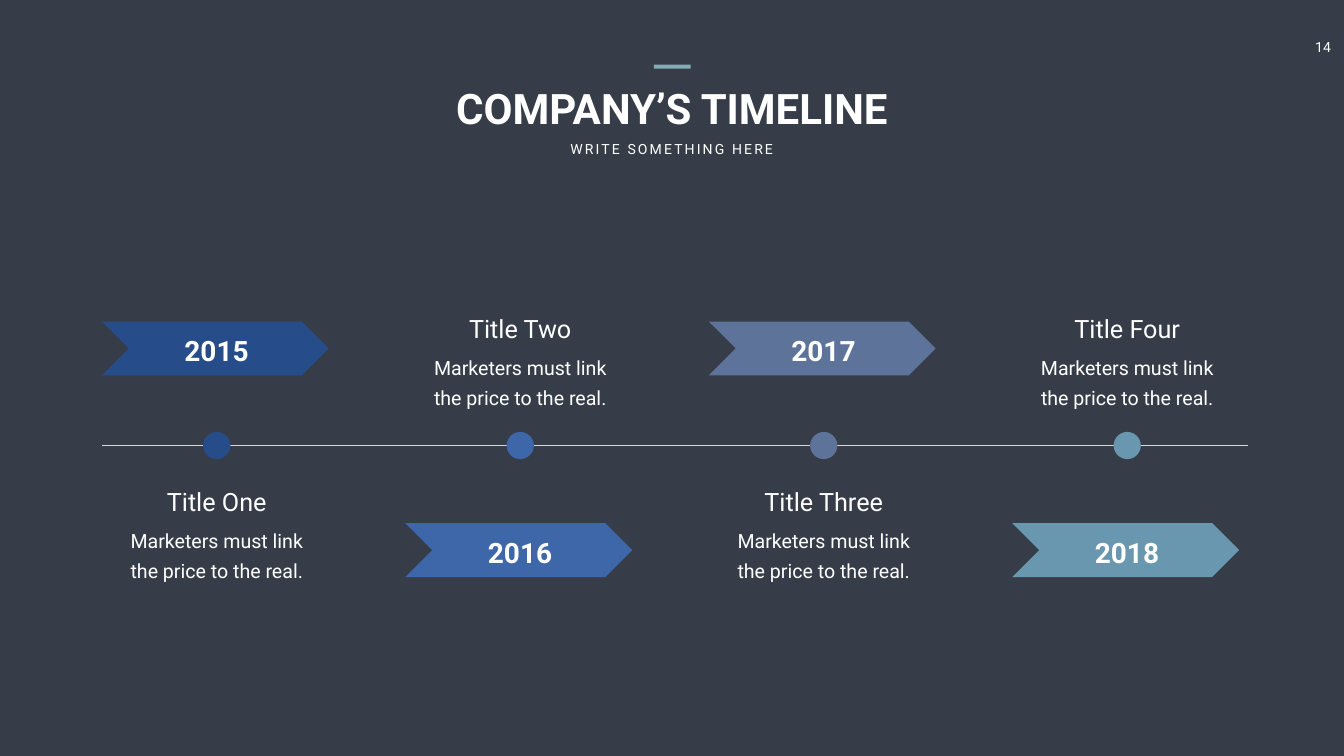
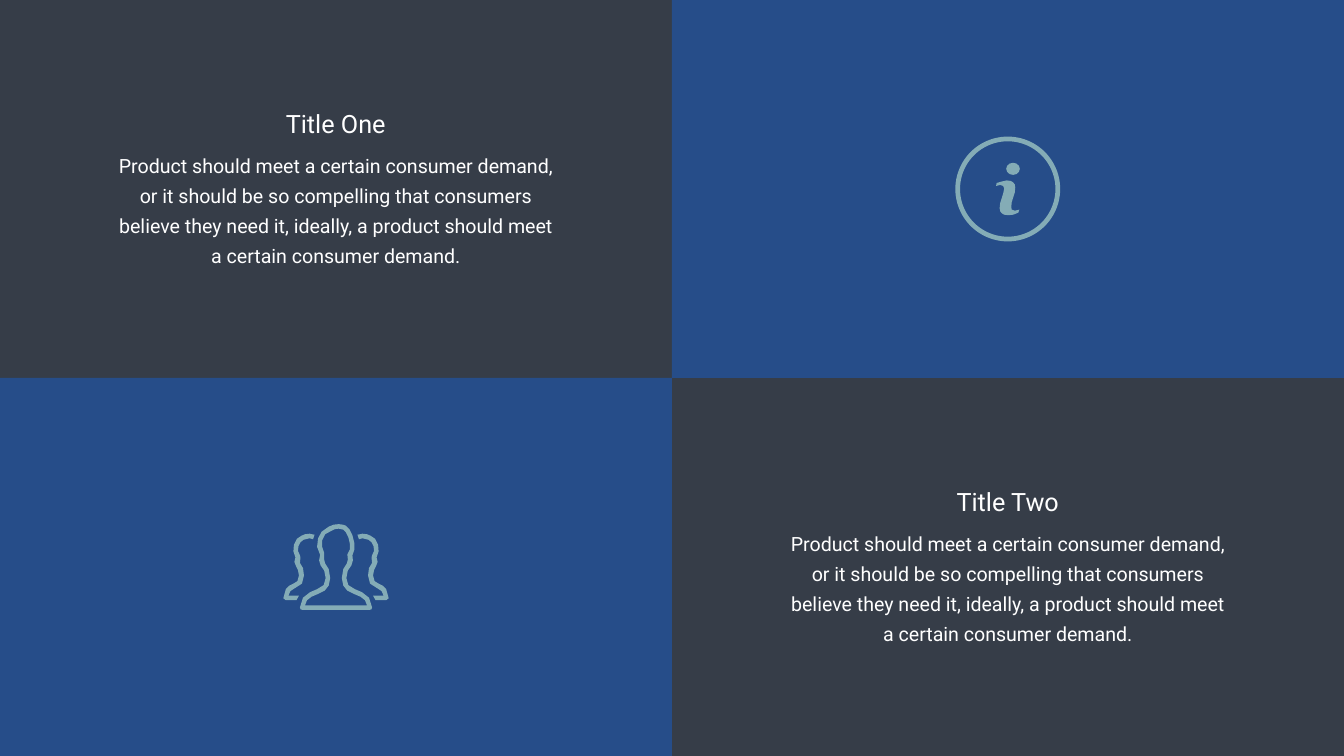
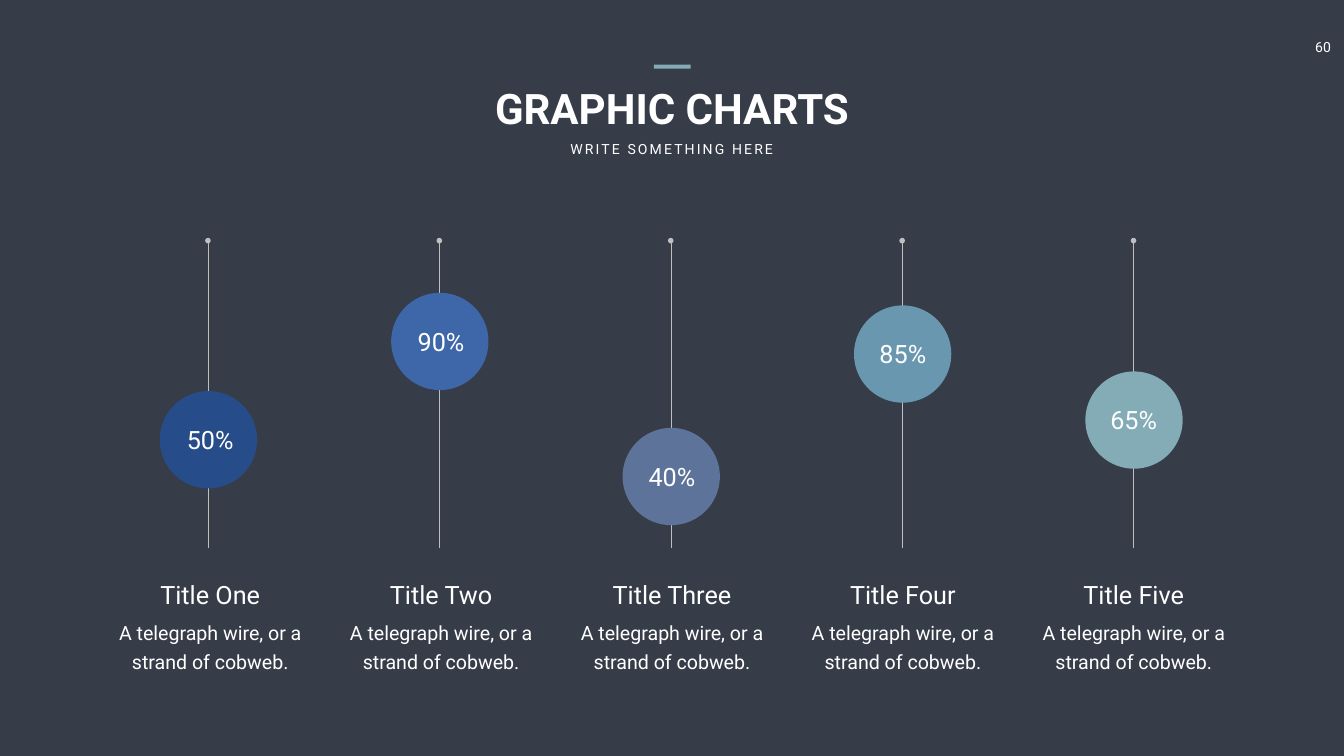
from dataclasses import dataclass

from lxml import etree
from pptx import Presentation
from pptx.dml.color import RGBColor
from pptx.enum.shapes import MSO_CONNECTOR, MSO_SHAPE
from pptx.enum.text import MSO_ANCHOR, MSO_AUTO_SIZE, PP_ALIGN
from pptx.oxml.ns import qn
from pptx.util import Inches, Pt


@dataclass(frozen=True)
class Theme:
    font: str = "Roboto"
    background: str = "363D48"
    text: str = "FFFFFF"
    navy: str = "264D89"
    blue: str = "3E67AA"
    slate: str = "5D739A"
    steel: str = "6997AF"
    teal: str = "84ACB6"
    axis: str = "D9D9D9"
    stem: str = "BFBFBF"
    title: int = 60
    year: int = 40
    heading: int = 36
    body: int = 28
    small: int = 20


theme = Theme()
series_colors = [theme.navy, theme.blue, theme.slate, theme.steel, theme.teal]


def add_text(slide, text, box, size, bold=False, spacing=None, wrap=True, placeholder=None):
    left, top, width, height = map(Inches, box)
    shape = placeholder or slide.shapes.add_textbox(left, top, width, height)
    shape.left, shape.top, shape.width, shape.height = left, top, width, height
    frame = shape.text_frame
    frame.word_wrap = wrap
    frame.auto_size = MSO_AUTO_SIZE.NONE
    frame.vertical_anchor = MSO_ANCHOR.TOP
    paragraph = frame.paragraphs[0]
    paragraph.text = text
    paragraph.alignment = PP_ALIGN.CENTER
    if spacing:
        paragraph.line_spacing = Pt(spacing)
    paragraph.font.name = theme.font
    paragraph.font.size = Pt(size)
    paragraph.font.bold = bold
    paragraph.font.color.rgb = RGBColor.from_string(theme.text)
    return shape


def add_figure(slide, kind, color, box=None, contours=None, ends=None, weight=1):
    """Add a preset shape in a box, a freeform from contours, or a line between ends."""
    if ends:
        line = slide.shapes.add_connector(kind, *map(Inches, ends))
        line.line.color.rgb = RGBColor.from_string(color)
        line.line.width = Pt(weight)
        etree.SubElement(line._element.spPr, qn("a:effectLst"))
        return line
    if contours:
        # The builder keeps whole units only, so points are given in EMU
        outlines = [[(Inches(x), Inches(y)) for x, y in points] for points in contours]
        builder = slide.shapes.build_freeform(*outlines[0][0])
        builder.add_line_segments(outlines[0][1:], close=True)
        for start, *rest in outlines[1:]:
            builder.move_to(*start)
            builder.add_line_segments(rest, close=True)
        shape = builder.convert_to_shape()
    else:
        shape = slide.shapes.add_shape(kind, *map(Inches, box))
    shape.shadow.inherit = False
    shape.fill.solid()
    shape.fill.fore_color.rgb = RGBColor.from_string(color)
    shape.line.fill.background()
    return shape


presentation = Presentation()
presentation.slide_width, presentation.slide_height = Inches(26.66), Inches(15)
master_fill = presentation.slide_master.background.fill
master_fill.solid()
master_fill.fore_color.rgb = RGBColor.from_string(theme.background)
title_only = presentation.slide_layouts[5]
timeline, panels, charts = [presentation.slides.add_slide(title_only) for _ in range(3)]

# Shared header: page number, title, subtitle and accent bar
for slide, number, title in [
    (timeline, "14", "COMPANY’S TIMELINE"),
    (charts, "60", "GRAPHIC CHARTS"),
]:
    add_text(slide, number, (25.79, 0.72, 0.91, 0.44), theme.small, wrap=False)
    add_text(slide, title, (7.7, 1.59, 11.26, 1.11), theme.title, bold=True,
             placeholder=slide.shapes.title)
    subtitle = add_text(slide, "WRITE SOMETHING HERE", (11.15, 2.74, 4.35, 0.44),
                        theme.small, wrap=False)
    subtitle.text_frame.paragraphs[0].runs[0]._r.get_or_add_rPr().set("spc", "300")
    add_figure(slide, MSO_SHAPE.RECTANGLE, theme.teal, (12.97, 1.28, 0.73, 0.08))

# Timeline: year arrows and captions alternate above and below the axis
add_figure(timeline, MSO_CONNECTOR.STRAIGHT, theme.axis, ends=(2.03, 8.84, 24.75, 8.84), weight=2)
milestones = [
    ("2015", "Title One", 2.23),
    ("2016", "Title Two", 2.27),
    ("2017", "Title Three", 2.61),
    ("2018", "Title Four", 2.37),
]
for index, (year, heading, heading_width) in enumerate(milestones):
    center = 4.3 + 6.02 * index
    color = series_colors[index]
    arrow_top, heading_top = (6.38, 9.6) if index % 2 == 0 else (10.38, 6.17)
    add_figure(timeline, MSO_SHAPE.CHEVRON, color, (center - 2.28, arrow_top, 4.5, 1.07))
    add_figure(timeline, MSO_SHAPE.OVAL, color, (center - 0.27, 8.57, 0.54, 0.54))
    add_text(timeline, year, (center - 0.75, arrow_top + 0.19, 1.49, 0.77), theme.year,
             bold=True, wrap=False)
    add_text(timeline, heading, (center - heading_width / 2, heading_top, heading_width, 0.71),
             theme.heading, wrap=False)
    add_text(timeline, "Marketers must link the price to the real.",
             (center - 1.9, heading_top + 0.71, 3.8, 1.27), theme.body, spacing=43)

# Panels: a checkerboard of text and icon quarters
half_width, half_height = 13.33, 7.5
pitch = ("Product should meet a certain consumer demand, or it should be so compelling that "
         "consumers believe they need it, ideally, a product should meet a certain consumer demand.")
for index, (heading, placeholder) in enumerate(
    [("Title One", panels.shapes.title), ("Title Two", None)]
):
    left, top = half_width * index, half_height * index
    add_figure(panels, MSO_SHAPE.RECTANGLE, theme.navy,
               (half_width - left, top, half_width, half_height))
    add_text(panels, heading, (left + 3.61, top + 2.1, 6.1, 0.71), theme.heading,
             placeholder=placeholder)
    body = add_text(panels, pitch, (left + 2.07, top + 2.8, 9.18, 2.6), theme.body, spacing=43)
    frame = body.text_frame
    frame.margin_left = frame.margin_right = Inches(0.24)
    frame.margin_top = frame.margin_bottom = Inches(0.12)

# Information icon: ring, dot and letter stem
ring = add_figure(panels, MSO_SHAPE.DONUT, theme.teal, (18.95, 2.71, 2.08, 2.08))
ring.adjustments[0] = 0.045
add_figure(panels, MSO_SHAPE.OVAL, theme.teal, (19.96, 3.23, 0.27, 0.24))
letter_stem = [
    (20.13, 4.18), (20.07, 4.16), (20.06, 4.11), (20.07, 4.01), (20.13, 3.82), (20.14, 3.72),
    (20.13, 3.66), (20.1, 3.62), (20.05, 3.59), (19.97, 3.58), (19.88, 3.6), (19.77, 3.63),
    (19.76, 3.69), (19.84, 3.67), (19.9, 3.69), (19.92, 3.74), (19.9, 3.84), (19.84, 4.03),
    (19.83, 4.13), (19.84, 4.19), (19.87, 4.23), (19.92, 4.26), (20, 4.27), (20.1, 4.26),
    (20.2, 4.22), (20.22, 4.16),
]
add_figure(panels, None, theme.teal, contours=[letter_stem])

# People icon: heads are drawn whole, shoulders and neighbours are mirrored
head_outer = [
    (6.35, 11.01), (6.29, 10.85), (6.31, 10.68), (6.38, 10.55), (6.52, 10.45), (6.62, 10.41),
    (6.72, 10.4), (6.8, 10.41), (6.86, 10.43), (6.93, 10.5), (6.99, 10.62), (7.03, 10.78),
    (7.03, 10.9), (6.99, 11.02),
]
shoulder_outer = [
    (7, 11.12), (6.97, 11.22), (6.9, 11.32), (6.87, 11.47), (6.91, 11.61), (7.04, 11.69),
    (7.18, 11.75), (7.32, 11.86), (7.38, 12.05), (7.37, 12.09), (7.33, 12.1),
]
head_inner = [
    (6.43, 10.97), (6.39, 10.85), (6.39, 10.72), (6.45, 10.6), (6.56, 10.54), (6.64, 10.5),
    (6.72, 10.49), (6.81, 10.51), (6.86, 10.56), (6.91, 10.66), (6.94, 10.79), (6.94, 10.9),
    (6.89, 11),
]
shoulder_inner = [
    (6.9, 11.1), (6.88, 11.18), (6.81, 11.29), (6.78, 11.47), (6.81, 11.62), (6.89, 11.72),
    (7.01, 11.78), (7.15, 11.84), (7.24, 11.91), (7.28, 12.01),
]
neighbour = [
    (7.51, 11.58), (7.43, 11.53), (7.4, 11.42), (7.42, 11.31), (7.46, 11.23), (7.49, 11.15),
    (7.47, 11.06), (7.51, 10.94), (7.5, 10.81), (7.44, 10.69), (7.35, 10.63), (7.28, 10.6),
    (7.19, 10.59), (7.09, 10.61), (7.12, 10.7), (7.19, 10.68), (7.31, 10.71), (7.37, 10.76),
    (7.41, 10.84), (7.42, 10.93), (7.38, 11.02), (7.37, 11.06), (7.38, 11.17), (7.32, 11.27),
    (7.3, 11.42), (7.34, 11.58), (7.48, 11.67), (7.57, 11.73), (7.61, 11.82), (7.4, 11.82),
    (7.45, 11.91), (7.66, 11.91), (7.71, 11.87), (7.66, 11.69), (7.59, 11.62),
]
mirrored_outer, mirrored_inner, mirrored_neighbour = [
    [(half_width - x, y) for x, y in reversed(points)]
    for points in (shoulder_outer, shoulder_inner, neighbour)
]
add_figure(panels, None, theme.teal, contours=[
    head_outer + shoulder_outer + mirrored_outer,
    head_inner + shoulder_inner + mirrored_inner,
    neighbour,
    mirrored_neighbour,
])

# Graphic charts: a percentage bubble on each stem, with a caption below
bubbles = [
    ("50%", "Title One", 7.76),
    ("90%", "Title Two", 5.81),
    ("40%", "Title Three", 8.49),
    ("85%", "Title Four", 6.06),
    ("65%", "Title Five", 7.37),
]
for index, (percentage, heading, bubble_top) in enumerate(bubbles):
    stem_x = 4.13 + 4.59 * index
    column = 4.17 + 4.58 * index
    add_figure(charts, MSO_CONNECTOR.STRAIGHT, theme.stem, ends=(stem_x, 4.8, stem_x, 10.87))
    add_figure(charts, MSO_SHAPE.OVAL, theme.stem, (stem_x - 0.06, 4.72, 0.11, 0.11))
    add_figure(charts, MSO_SHAPE.OVAL, series_colors[index],
               (stem_x - 0.96, bubble_top, 1.93, 1.93))
    add_text(charts, percentage, (column - 1.18, bubble_top + 0.61, 2.36, 0.71), theme.heading)
    add_text(charts, heading, (column - 1.73, 11.44, 3.46, 0.71), theme.heading)
    add_text(charts, "A telegraph wire, or a strand of cobweb.",
             (column - 2.09, 12.18, 4.18, 1.23), theme.body, spacing=40.8)

presentation.save("out.pptx")
